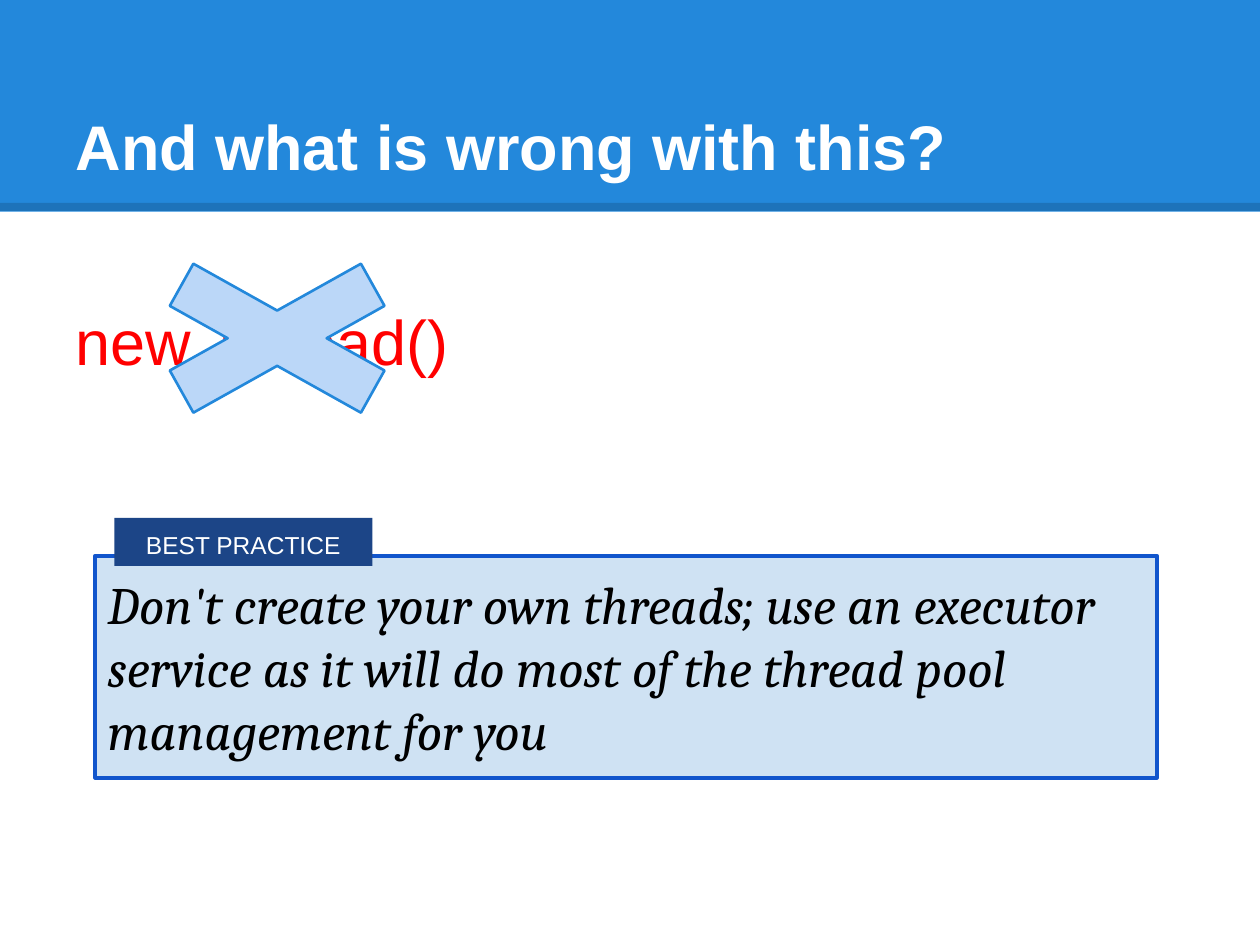
import pptx
import pptx.dml.color
import pptx.enum.shapes
import pptx.enum.text
import pptx.oxml
import pptx.oxml.ns
import pptx.util

Pt = pptx.util.Pt
SHAPE = pptx.enum.shapes.MSO_SHAPE
ANCHOR = pptx.enum.text.MSO_ANCHOR
ALIGN = pptx.enum.text.PP_ALIGN
COLORS = {
    "band": "2388DB", "shade": "000000", "white": "FFFFFF", "code": "FF0000",
    "cross": "BBD7F8", "advice": "CFE2F3", "border": "1155CC",
    "tag": "1C4587", "ink": "000000",
}


def rgb(name):
    return pptx.dml.color.RGBColor.from_string(COLORS[name])


def write(shape, text, color, font, anchor=ANCHOR.TOP, align=ALIGN.LEFT, top=7.2):
    frame = shape.text_frame
    layout = {
        "margin_left": Pt(7.2), "margin_right": Pt(7.2),
        "margin_top": Pt(top), "margin_bottom": Pt(7.2),
        "word_wrap": True, "vertical_anchor": anchor,
        "auto_size": pptx.enum.text.MSO_AUTO_SIZE.NONE,
    }
    for attribute, value in layout.items():
        setattr(frame, attribute, value)
    paragraph = frame.paragraphs[0]
    paragraph.alignment = align
    run = paragraph.add_run()
    run.text = text
    for attribute, value in font.items():
        setattr(run.font, attribute, value)
    run.font.color.rgb = rgb(color)


deck = pptx.Presentation()
deck.slide_width, deck.slide_height = Pt(720), Pt(540)
slide = deck.slides.add_slide(deck.slide_layouts[5])
shapes = slide.shapes

heading = shapes.title
heading.left, heading.top, heading.width, heading.height = Pt(36), Pt(21.6), Pt(648), Pt(90)
write(heading, "And what is wrong with this?", "white",
      {"name": "Arial", "size": Pt(36), "bold": True}, ANCHOR.BOTTOM)

band = shapes.add_shape(SHAPE.RECTANGLE, 0, 0, Pt(720), Pt(121))
shade = shapes.add_connector(pptx.enum.shapes.MSO_CONNECTOR.STRAIGHT,
                             0, Pt(118.2), Pt(720), Pt(118.2))
shade.line.width = Pt(4.5)
shade.line.color.rgb = rgb("shade")
shade_color = shade.line.fill._xPr.find(".//" + pptx.oxml.ns.qn("a:srgbClr"))
shade_color.append(pptx.oxml.parse_xml(
    f'<a:alpha {pptx.oxml.ns.nsdecls("a")} val="15000"/>'))
shade._element.spPr.append(pptx.oxml.parse_xml(
    f'<a:effectLst {pptx.oxml.ns.nsdecls("a")}/>'))
heading._element.getparent().append(heading._element)

code = shapes.add_textbox(Pt(36), Pt(126), Pt(648), Pt(126))
write(code, "new Thread()", "code", {"name": "Arial", "size": Pt(36)}, top=47)

cross = shapes.add_shape(SHAPE.MATH_MULTIPLY, Pt(53.3), Pt(134.6), Pt(210.2), Pt(117.4))
cross.adjustments[0] = 0.235
advice = shapes.add_shape(SHAPE.RECTANGLE, Pt(54.5), Pt(317.5), Pt(606.5), Pt(127))
tag = shapes.add_shape(SHAPE.RECTANGLE, Pt(65.3), Pt(295.9), Pt(147.5), Pt(27.4))

for shape, fill, border, width in [
    (band, "band", None, 0),
    (cross, "cross", "band", 1.5),
    (advice, "advice", "border", 2.25),
    (tag, "tag", None, 0),
]:
    shape.shadow.inherit = False
    shape.fill.solid()
    shape.fill.fore_color.rgb = rgb(fill)
    if border:
        shape.line.color.rgb = rgb(border)
        shape.line.width = Pt(width)
    else:
        shape.line.fill.background()

write(advice,
      "Don't create your own threads; use an executor service as it will do "
      "most of the thread pool management for you",
      "ink", {"name": "Cambria", "size": Pt(30), "italic": True}, ANCHOR.MIDDLE)
write(tag, "BEST PRACTICE", "white", {"name": "Arial", "size": Pt(14)}, align=ALIGN.CENTER)

deck.save("out.pptx")
